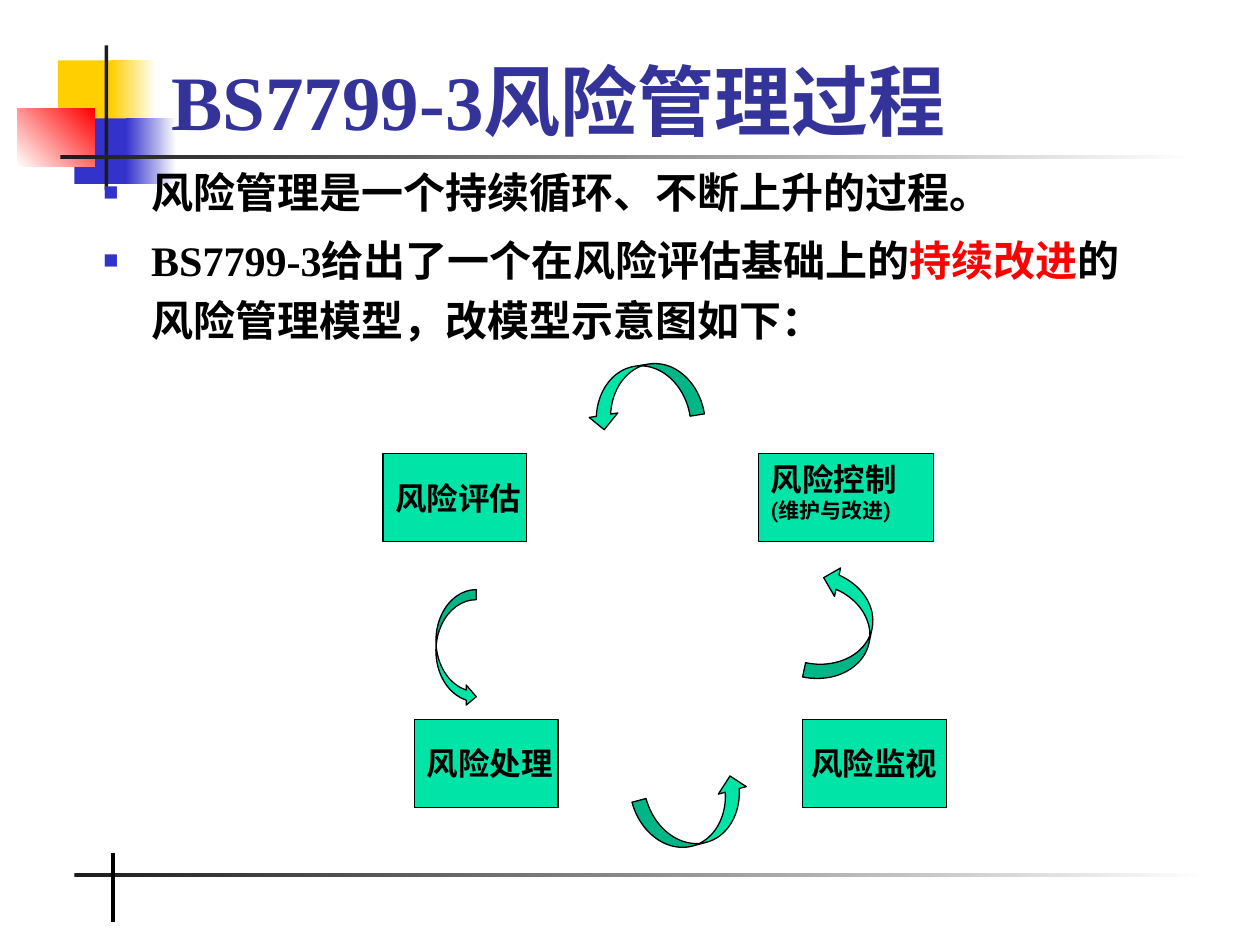
from dataclasses import dataclass

from lxml import etree
from pptx import Presentation
from pptx import util as u
from pptx.dml.color import RGBColor
from pptx.enum import shapes, text
from pptx.oxml import ns

Inches, Pt = u.Inches, u.Pt


@dataclass(frozen=True)
class Theme:
    black: str = "000000"
    white: str = "FFFFFF"
    charcoal: str = "1C1C1C"
    yellow: str = "FFCF01"
    blue: str = "3333CC"
    navy: str = "333399"
    red: str = "FF0000"
    green: str = "00E4A8"
    serif: str = "Times New Roman"
    sans: str = "Roboto"
    title_size: int = 44
    body_size: int = 24
    label_size: int = 18
    note_size: int = 12


THEME = Theme()


def rgb(value):
    return RGBColor.from_string(value)


def place(item, box):
    for side, length in zip(("left", "top", "width", "height"), box):
        setattr(item, side, Inches(length))


def write(paragraph, words, size, color, face):
    run = paragraph.add_run()
    run.text = words
    for name, value in {"size": Pt(size), "name": face, "bold": True}.items():
        setattr(run.font, name, value)
    run.font.color.rgb = rgb(color)


def add_ornament(slide, box, start, end=None, angle=0):
    """Borderless bar: solid, or a gradient when an end colour is given."""
    bar = slide.shapes.add_shape(shapes.MSO_SHAPE.RECTANGLE, *map(Inches, box))
    bar.shadow.inherit = False
    bar.line.fill.background()
    if end is None:
        bar.fill.solid()
        bar.fill.fore_color.rgb = rgb(start)
        return
    bar.fill.gradient()
    bar.fill.gradient_angle = angle
    for stop, color, position in zip(bar.fill.gradient_stops, (start, end), (0, 1)):
        stop.color.rgb = rgb(color)
        stop.position = position


def add_footer_tick(slide):
    tick = slide.shapes.add_connector(
        shapes.MSO_CONNECTOR.STRAIGHT, *map(Inches, (0.9, 6.77, 0.9, 7.32)))
    tick.line.color.rgb = rgb(THEME.black)
    tick.line.width = Pt(2.25)
    etree.SubElement(tick._element.spPr, ns.qn("a:effectLst"))


def add_green_shape(slide, preset, box, rotation=0):
    shape = slide.shapes.add_shape(preset, *map(Inches, box))
    shape.shadow.inherit = False
    shape.rotation = rotation
    shape.fill.solid()
    shape.fill.fore_color.rgb = rgb(THEME.green)
    shape.line.color.rgb = rgb(THEME.black)
    shape.line.width = Pt(0.75)


def add_label(slide, box, lines, wrap=False):
    label = slide.shapes.add_textbox(*map(Inches, box))
    frame = label.text_frame
    frame.word_wrap = wrap
    frame.auto_size = text.MSO_AUTO_SIZE.SHAPE_TO_FIT_TEXT
    for index, (words, size) in enumerate(lines):
        paragraph = frame.add_paragraph() if index else frame.paragraphs[0]
        write(paragraph, words, size, THEME.black, THEME.sans)


def set_bullet(paragraph):
    props = paragraph._p.get_or_add_pPr()
    props.set("marL", str(Inches(0.38)))
    props.set("indent", str(-Inches(0.38)))
    color = etree.SubElement(props, ns.qn("a:buClr"))
    etree.SubElement(color, ns.qn("a:srgbClr"), val=THEME.blue)
    etree.SubElement(props, ns.qn("a:buSzPct"), val="60000")
    etree.SubElement(props, ns.qn("a:buFont"), typeface=THEME.serif)
    etree.SubElement(props, ns.qn("a:buChar"), char="■")


def fill_title(title, words):
    place(title, (1.26, 0.16, 8.52, 1.05))
    frame = title.text_frame
    frame.auto_size = text.MSO_AUTO_SIZE.NONE
    frame.vertical_anchor = text.MSO_ANCHOR.BOTTOM
    heading = frame.paragraphs[0]
    heading.alignment = text.PP_ALIGN.LEFT
    write(heading, words, THEME.title_size, THEME.navy, THEME.serif)


def fill_body(body, points):
    place(body, (0.72, 1.2, 8.5, 5))
    frame = body.text_frame
    frame.auto_size = text.MSO_AUTO_SIZE.NONE
    for index, runs in enumerate(points):
        point = frame.add_paragraph() if index else frame.paragraphs[0]
        set_bullet(point)
        point.line_spacing = Pt(34)
        point.space_before = Pt(5 if index else 0)
        for words, color in runs:
            write(point, words, THEME.body_size, color, THEME.serif)


def add_decoration(slide):
    t = THEME
    for ornament in (
        ((0.46, 0.48, 0.48, 0.52), t.yellow),
        ((0.88, 0.48, 0.36, 0.52), t.yellow, t.white),
        ((0.59, 0.94, 0.46, 0.52), t.blue),
        ((1, 0.94, 0.4, 0.52), t.blue, t.white),
        ((0.14, 0.86, 0.61, 0.46), t.white, t.red, 45),
        ((0.83, 0.36, 0.03, 1.15), t.charcoal),
        ((0.48, 1.23, 9, 0.03), t.charcoal, t.white),
        ((0.59, 6.93, 9, 0.03), t.charcoal, t.white),
    ):
        add_ornament(slide, *ornament)
    add_footer_tick(slide)


def add_cycle(slide):
    # Stages of the cycle
    for box in ((3.04, 3.6, 1.14, 0.7), (3.29, 5.71, 1.14, 0.7),
                (6.37, 5.71, 1.14, 0.7), (6.02, 3.6, 1.39, 0.7)):
        add_green_shape(slide, shapes.MSO_SHAPE.RECTANGLE, box)

    # Arrows, anticlockwise from the top
    for box, rotation in (((4.87, 2.67, 0.46, 0.92), 81),
                          ((3.46, 4.68, 0.32, 0.93), 0),
                          ((5.29, 6.01, 0.46, 0.92), 255),
                          ((6.46, 4.51, 0.46, 0.92), 192)):
        add_green_shape(slide, shapes.MSO_SHAPE.CURVED_RIGHT_ARROW, box, rotation)

    # Stage names
    for left, top, words in ((3.04, 3.75, "风险评估"), (3.29, 5.86, "风险处理"),
                             (6.34, 5.86, "风险监视")):
        add_label(slide, (left, top, 1.21, 0.4), [(words, THEME.label_size)])
    add_label(slide, (6.02, 3.6, 1.46, 0.6),
              [("风险控制", THEME.label_size), ("(维护与改进)", THEME.note_size)],
              wrap=True)


def main():
    prs = Presentation()
    prs.slide_width, prs.slide_height = Inches(10), Inches(7.5)
    slide = prs.slides.add_slide(prs.slide_layouts[1])
    title, body = slide.shapes.title, slide.placeholders[1]

    # Decoration lies behind the text
    add_decoration(slide)
    for holder in (body, title):
        slide.shapes._spTree.append(holder._element)

    # Title and points
    fill_title(title, "BS7799-3风险管理过程")
    fill_body(body, [
        [("风险管理是一个持续循环、不断上升的过程。", THEME.black)],
        [("BS7799-3给出了一个在风险评估基础上的", THEME.black),
         ("持续改进", THEME.red),
         ("的风险管理模型，改模型示意图如下：", THEME.black)],
    ])

    # Risk management cycle
    add_cycle(slide)
    prs.save("out.pptx")


if __name__ == "__main__":
    main()
